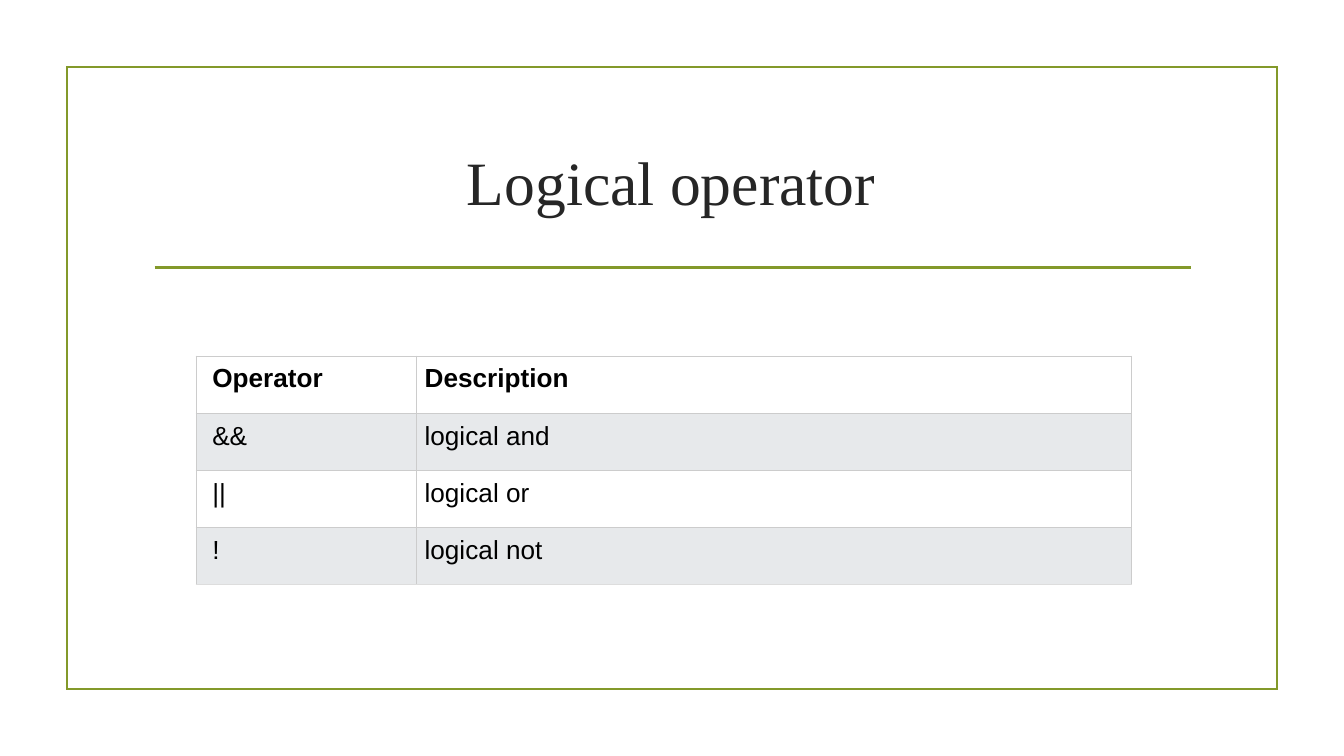
from lxml.etree import SubElement
from pptx import Presentation
from pptx.dml.color import RGBColor
from pptx.enum.shapes import MSO_CONNECTOR, MSO_SHAPE
from pptx.enum.text import MSO_ANCHOR, PP_ALIGN
from pptx.oxml.ns import qn
from pptx.util import Inches, Pt

COLORS = {
    "accent": "83992A", "title": "262626", "text": "000000",
    "plain": "FFFFFF", "band": "E7E9EB", "border": "CCCCCC", "bottom": "DDDDDD",
}
ROWS = [
    ("Operator", "Description"),
    ("&&", "logical and"),
    ("||", "logical or"),
    ("!", "logical not"),
]


def rgb(name):
    return RGBColor.from_string(COLORS[name])


def style_run(r, font, size, color, bold=False):
    r.font.name = font
    r.font.size = Pt(size)
    r.font.bold = bold
    r.font.color.rgb = rgb(color)


def style_line(line):
    line.color.rgb = rgb("accent")
    line.width = Pt(1.25)


def set_borders(cell, last):
    """Thin border on all four sides, lighter under the last row."""
    tc_pr = cell._tc.get_or_add_tcPr()
    for i, side in enumerate(("lnL", "lnR", "lnT", "lnB")):
        ln = SubElement(tc_pr, qn(f"a:{side}"), w=str(Pt(0.75)))
        fill = SubElement(ln, qn("a:solidFill"))
        color = "bottom" if last and side == "lnB" else "border"
        SubElement(fill, qn("a:srgbClr"), val=COLORS[color])
        tc_pr.insert(i, ln)  # borders come before the cell fill


def add_frame(slide, x, y, w, h):
    sp = slide.shapes.add_shape(MSO_SHAPE.RECTANGLE, Inches(x), Inches(y), Inches(w), Inches(h))
    sp.shadow.inherit = False
    sp.fill.background()
    style_line(sp.line)
    # Square corners
    SubElement(sp._element.spPr.find(qn("a:ln")), qn("a:miter"), lim="800000")


def add_title(slide, text, x, y, w, h):
    # Centred heading
    sp = slide.shapes.add_textbox(Inches(x), Inches(y), Inches(w), Inches(h))
    tf = sp.text_frame
    tf.word_wrap = True
    tf.vertical_anchor = MSO_ANCHOR.MIDDLE
    tf.margin_left = tf.margin_right = Inches(0.07)
    tf.margin_top = tf.margin_bottom = Inches(0.04)
    tf.text = text
    p = tf.paragraphs[0]
    p.alignment = PP_ALIGN.CENTER
    style_run(p.runs[0], "Times New Roman", 33, "title")

    # Rule below the heading
    rule_y = Inches(y + h + 0.11)
    rule = slide.shapes.add_connector(
        MSO_CONNECTOR.STRAIGHT, Inches(x + 0.09), rule_y, Inches(x + w - 0.07), rule_y)
    style_line(rule.line)
    SubElement(rule._element.spPr, qn("a:effectLst"))


def add_operator_table(slide, rows, x, y, col_widths, height):
    table = slide.shapes.add_table(
        len(rows), len(col_widths), Inches(x), Inches(y),
        Inches(sum(col_widths)), Inches(height)).table
    for col, width in zip(table.columns, col_widths):
        col.width = Inches(width)
    for i, values in enumerate(rows):
        table.rows[i].height = Inches(height / len(rows))
        for j, value in enumerate(values):
            cell = table.cell(i, j)
            cell.margin_left = Inches(0.06 if j else 0.12)
            cell.margin_right = cell.margin_top = cell.margin_bottom = Inches(0.06)
            cell.fill.solid()
            cell.fill.fore_color.rgb = rgb("band" if i % 2 else "plain")
            cell.text = value
            style_run(cell.text_frame.paragraphs[0].runs[0], "Arial", 14, "text", bold=i == 0)
            set_borders(cell, last=i == len(rows) - 1)


def main():
    prs = Presentation()
    prs.slide_width = Inches(10)
    prs.slide_height = prs.slide_width * 9 // 16
    slide = prs.slides.add_slide(prs.slide_layouts[6])
    add_frame(slide, 0.5, 0.5, 9, 4.63)
    add_title(slide, "Logical operator", 1.06, 0.81, 7.87, 1.07)
    add_operator_table(slide, ROWS, 1.46, 2.65, (1.64, 5.32), 1.7)
    prs.save("out.pptx")


if __name__ == "__main__":
    main()
